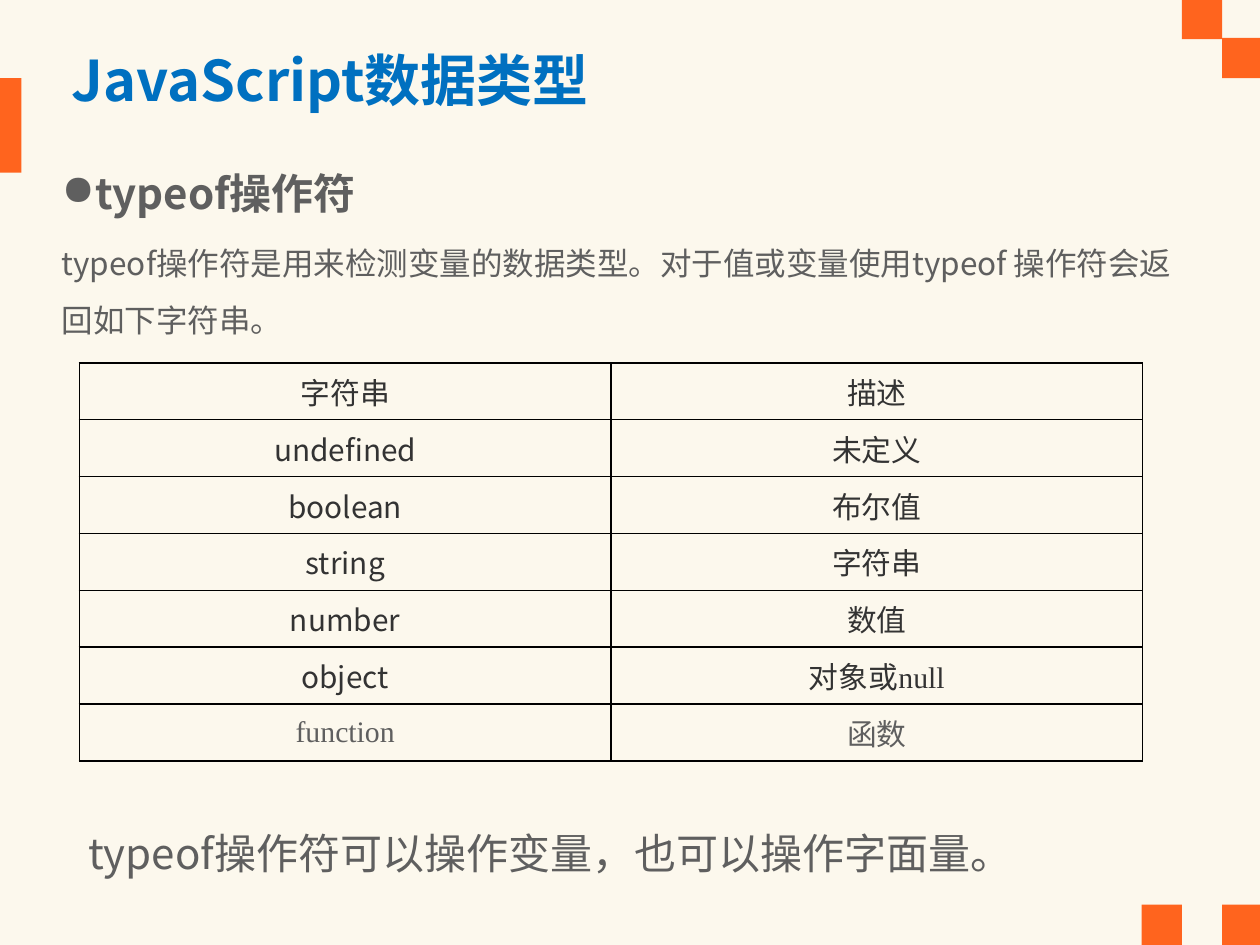
from lxml.etree import SubElement
from pptx import Presentation
from pptx.dml.color import RGBColor
from pptx.enum.shapes import MSO_SHAPE as Shape
from pptx.enum.text import MSO_ANCHOR as Anchor, PP_ALIGN as Align
from pptx.oxml.ns import qn
from pptx.util import Inches, Pt

CREAM = RGBColor(0xFC, 0xF8, 0xED)
ORANGE = RGBColor(0xFF, 0x64, 0x1E)
BLUE = RGBColor(0x00, 0x70, 0xC0)
GRAY = RGBColor(0x5F, 0x5F, 0x5F)
DARK = RGBColor(0x33, 0x33, 0x33)
SANS = "Noto Sans CJK SC"
SERIF = "Times New Roman"


class SlideBuilder:
    def __init__(self, slide):
        self.slide = slide
        slide.background.fill.solid()
        slide.background.fill.fore_color.rgb = CREAM

    def style(self, paragraph, size, color, bold=False, latin=SANS):
        font = paragraph.font
        font.size, font.bold, font.name = Pt(size), bold, latin
        font.color.rgb = color
        defaults = paragraph._p.pPr.find(qn("a:defRPr"))
        SubElement(defaults, qn("a:ea"), typeface=SANS)

    def block(self, left, top, width, height, color=ORANGE):
        block = self.slide.shapes.add_shape(
            Shape.RECTANGLE, Inches(left), Inches(top), Inches(width), Inches(height))
        block.shadow.inherit = False
        block.fill.solid()
        block.fill.fore_color.rgb = color
        block.line.fill.background()

    def frame(self, left, top, width, height, inset_x=0.07, inset_y=0.04):
        frame = self.slide.shapes.add_textbox(
            Inches(left), Inches(top), Inches(width), Inches(height)).text_frame
        frame.word_wrap = True
        frame.margin_left = frame.margin_right = Inches(inset_x)
        frame.margin_top = frame.margin_bottom = Inches(inset_y)
        return frame

    def fill_text(self, paragraph, text, size, color, bold=False, spacing=None, after=None, bullet=None):
        paragraph.text = text
        paragraph.line_spacing = spacing
        if after:
            paragraph.space_after = Pt(after)
        if bullet:
            properties = paragraph._p.get_or_add_pPr()
            properties.set("marL", str(Inches(0.2)))
            properties.set("indent", str(-Inches(0.2)))
            SubElement(properties, qn("a:buChar"), char=bullet)
        self.style(paragraph, size, color, bold)

    def border(self, cell):
        properties = cell._tc.get_or_add_tcPr()
        for position, side in enumerate(("lnL", "lnR", "lnT", "lnB")):
            line = SubElement(properties, qn(f"a:{side}"), w=str(Pt(1)))
            properties.insert(position, line)
            fill = SubElement(line, qn("a:solidFill"))
            SubElement(fill, qn("a:srgbClr"), val="000000")

    def table(self, left, top, width, height, rows):
        table = self.slide.shapes.add_table(
            len(rows), 2, Inches(left), Inches(top), Inches(width), Inches(height)).table
        table.first_row = table.horz_banding = False
        for row, (texts, color, fonts) in enumerate(rows):
            for column, (text, latin) in enumerate(zip(texts, fonts)):
                cell = table.cell(row, column)
                cell.fill.background()
                cell.vertical_anchor = Anchor.MIDDLE
                cell.margin_left = cell.margin_right = Inches(0.05)
                cell.margin_top = cell.margin_bottom = Inches(0.04)
                self.border(cell)
                paragraph = cell.text_frame.paragraphs[0]
                paragraph.text = text
                paragraph.alignment = Align.CENTER
                self.style(paragraph, 17, color, latin=latin)


def main():
    deck = Presentation()
    deck.slide_width, deck.slide_height = Inches(10), Inches(7.5)
    builder = SlideBuilder(deck.slides.add_slide(deck.slide_layouts[6]))

    intro = builder.frame(0.42, 1.09, 9.14, 2.3)
    builder.fill_text(intro.paragraphs[0], "typeof操作符", 24, GRAY, bold=True,
                      spacing=1.5, after=4.2, bullet="●")
    builder.fill_text(intro.add_paragraph(),
                      "typeof操作符是用来检测变量的数据类型。对于值或变量使用typeof 操作符会返回如下字符串。",
                      18, GRAY, spacing=1.5, after=4.2)

    builder.block(-0.01, 0.62, 0.18, 0.75)
    for left, top in ((9.7, 7.18), (9.06, 7.18), (9.38, -0.01), (9.7, 0.3)):
        builder.block(left, top, 0.32, 0.32)

    builder.table(0.63, 2.88, 8.44, 3.16, [
        (("字符串", "描述"), DARK, (SANS, SANS)),
        (("undefined", "未定义"), DARK, (SANS, SANS)),
        (("boolean", "布尔值"), DARK, (SANS, SANS)),
        (("string", "字符串"), DARK, (SANS, SANS)),
        (("number", "数值"), DARK, (SANS, SANS)),
        (("object", "对象或null"), DARK, (SANS, SERIF)),
        (("function", "函数"), GRAY, (SERIF, SERIF)),
    ])

    summary = builder.frame(0.63, 6.53, 8.6, 0.47)
    builder.fill_text(summary.paragraphs[0], "typeof操作符可以操作变量，也可以操作字面量。", 24, GRAY)

    title = builder.frame(0.47, 0.37, 9.07, 0.71, inset_x=0.1, inset_y=0.05)
    builder.fill_text(title.paragraphs[0], "JavaScript数据类型", 32, BLUE, bold=True, spacing=0.9)

    deck.save("out.pptx")


if __name__ == "__main__":
    main()
